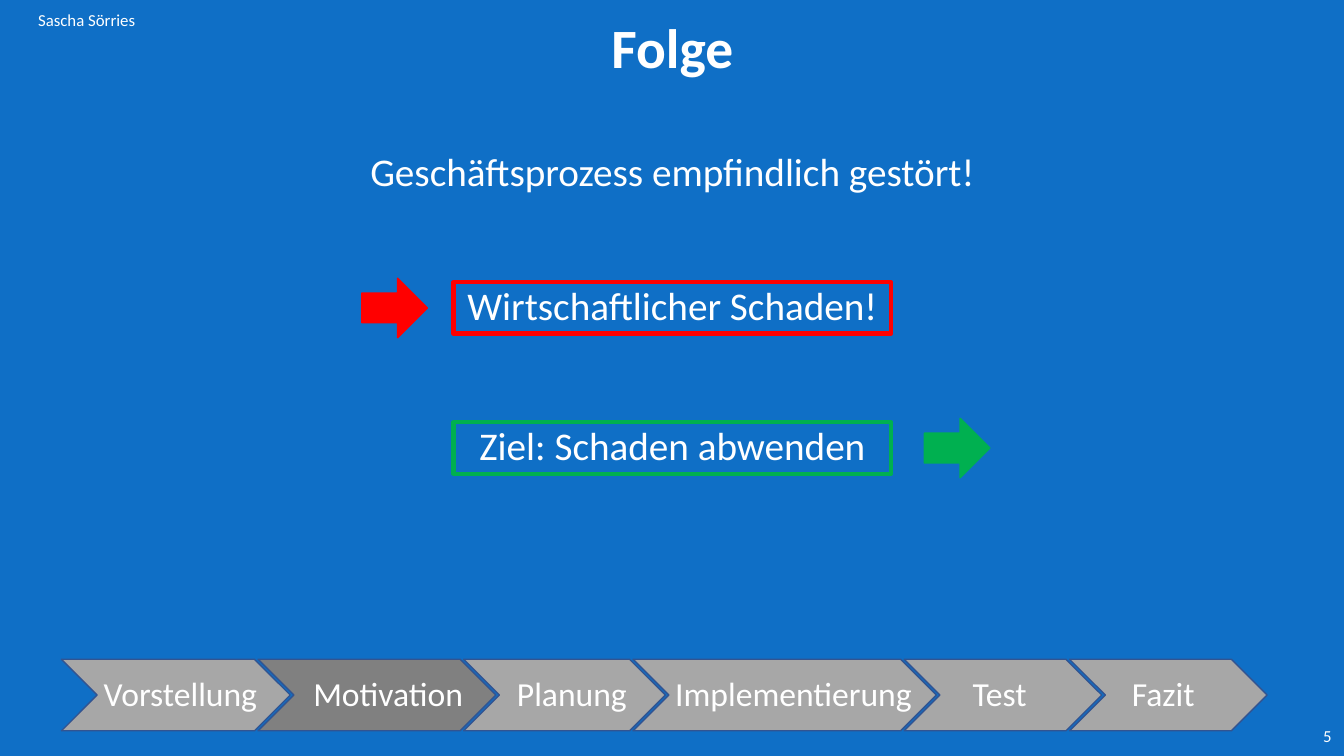
from pptx import Presentation
from pptx.dml.color import RGBColor
from pptx.enum.shapes import MSO_SHAPE
from pptx.enum.text import MSO_ANCHOR, PP_ALIGN
from pptx.util import Inches, Pt

COLORS = {
    "background": "0F6FC6",
    "text": "FFFFFF",
    "step": "A7A7A7",
    "current": "808080",
    "outline": "325491",
    "damage": "FF0000",
    "goal": "00B050",
}
COLUMNS, ROWS = 40, 22.5
STEP_OVERLAP = 0.96
STEPS = [
    ("Vorstellung", 6.81, 0.96, 6.78),
    ("Motivation", 7.08, 1.35, 8.31),
    ("Planung", 6, 1.29, 4.56),
    ("Implementierung", 9.03, 0.96, 10.44),
    ("Test", 5.88, 1.74, 4.56),
    ("Fazit", 5.88, 1.56, 4.56),
]


def rgb(name):
    return RGBColor.from_string(COLORS[name])


def write(tf, text, size=24, bold=False, align=PP_ALIGN.LEFT,
          anchor=MSO_ANCHOR.MIDDLE, spacing=1.0):
    tf.word_wrap = True
    tf.vertical_anchor = anchor
    p = tf.paragraphs[0]
    p.alignment = align
    p.line_spacing = spacing
    p.space_before = Pt(0)
    r = p.add_run()
    r.text = text
    r.font.name = "Calibri"
    r.font.size = Pt(size)
    r.font.bold = bold
    r.font.color.rgb = rgb("text")


class SlideBuilder:
    def __init__(self, prs):
        self.column = prs.slide_width / COLUMNS
        self.row = prs.slide_height / ROWS
        self.slide = prs.slides.add_slide(prs.slide_layouts[5])
        fill = self.slide.background.fill
        fill.solid()
        fill.fore_color.rgb = rgb("background")

    def box(self, x, y, w, h):
        return (round(x * self.column), round(y * self.row),
                round(w * self.column), round(h * self.row))

    def title(self, text, x, y, w, h, **style):
        sp = self.slide.shapes.title
        sp.left, sp.top, sp.width, sp.height = self.box(x, y, w, h)
        write(sp.text_frame, text, **style)

    def label(self, text, x, y, w, h, **style):
        sp = self.slide.shapes.add_textbox(*self.box(x, y, w, h))
        write(sp.text_frame, text, **style)

    def shape(self, kind, x, y, w, h, line, fill=None, width=1):
        sp = self.slide.shapes.add_shape(kind, *self.box(x, y, w, h))
        sp.shadow.inherit = False
        sp.line.color.rgb = rgb(line)
        sp.line.width = Pt(width)
        if fill:
            sp.fill.solid()
            sp.fill.fore_color.rgb = rgb(fill)
        else:
            sp.fill.background()
        return sp

    def message(self, text, y, color, arrow_x):
        sp = self.shape(MSO_SHAPE.RECTANGLE, 13.5, y, 13.02, 1.53, color, width=3)
        write(sp.text_frame, text, size=28, align=PP_ALIGN.CENTER, spacing=0.9)
        self.shape(MSO_SHAPE.RIGHT_ARROW, arrow_x, y - 0.12, 1.95, 1.77, color, color)

    def steps(self, steps, current, x, y):
        for name, width, indent, label_width in steps:
            fill = "current" if name == current else "step"
            self.shape(MSO_SHAPE.CHEVRON, x, y, width, 2.13, "outline", fill)
            self.label(name, x + indent, y + 0.27, label_width, 1.5,
                       anchor=MSO_ANCHOR.TOP)
            x += width - STEP_OVERLAP


def main():
    prs = Presentation()
    prs.slide_width, prs.slide_height = Inches(13.33), Inches(7.5)
    s = SlideBuilder(prs)
    s.steps(STEPS, "Motivation", 1.83, 19.62)
    s.title("Folge", 2.76, 0.48, 34.5, 2.07, size=39.6, bold=True,
            align=PP_ALIGN.CENTER, spacing=0.9)
    s.label("Geschäftsprozess empfindlich gestört!", 10.32, 4.3, 19.38, 1.74,
            size=28, align=PP_ALIGN.CENTER, spacing=0.9)
    s.message("Wirtschaftlicher Schaden!", 8.4, "damage", 10.77)
    s.message("Ziel: Schaden abwenden", 12.57, "goal", 27.51)
    s.label("Sascha Sörries", 0, 0, 5.16, 1.2, size=12, align=PP_ALIGN.CENTER)
    s.label("5", 37.98, 21.3, 1.95, 1.2, size=12, align=PP_ALIGN.RIGHT)
    prs.save("out.pptx")


if __name__ == "__main__":
    main()
